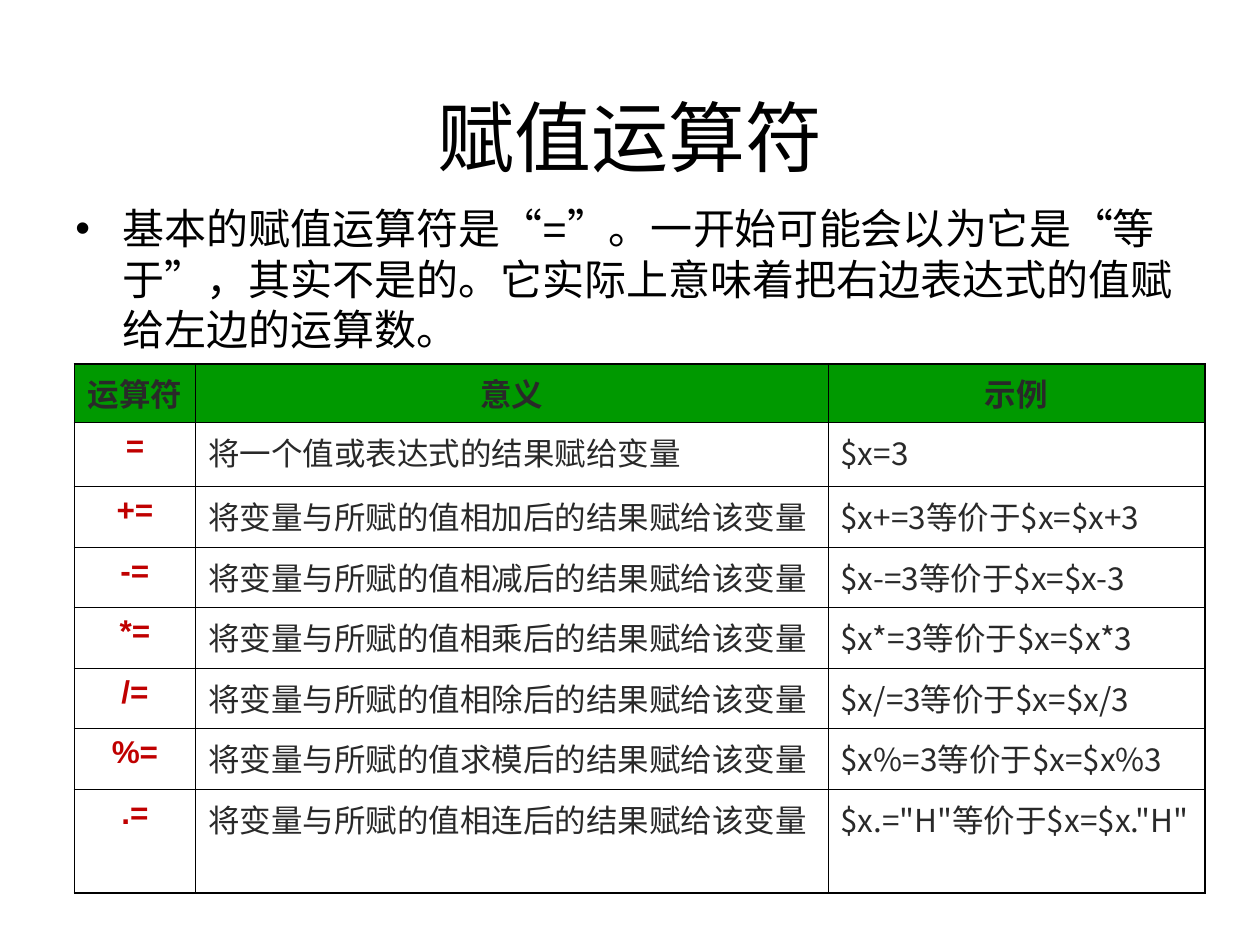
"""Build a slide that explains the assignment operators."""
import pptx
import pptx.dml.color
import pptx.enum.text
import pptx.oxml
import pptx.oxml.ns
import pptx.util

Cm = pptx.util.Cm
Pt = pptx.util.Pt
RGBColor = pptx.dml.color.RGBColor
ALIGN = pptx.enum.text.PP_ALIGN
ANCHOR = pptx.enum.text.MSO_ANCHOR

BLACK = RGBColor(0x00, 0x00, 0x00)
CHARCOAL = RGBColor(0x29, 0x29, 0x29)
GREEN = RGBColor(0x00, 0x99, 0x00)
RED = RGBColor(0xC0, 0x00, 0x00)
LATIN_FONT = "Arial"
CHINESE_FONT = "Noto Sans CJK SC"
THIN, THICK = 0.45, 1.08

TITLE = "赋值运算符"
EXPLANATION = (
    "基本的赋值运算符是“=”。一开始可能会以为它是“等于”，其实不是的。"
    "它实际上意味着把右边表达式的值赋给左边的运算数。"
)
HEADINGS = ("运算符", "意义", "示例")
COMPOUND_OPERATORS = (
    ("+", "相加", "3"),
    ("-", "相减", "3"),
    ("*", "相乘", "3"),
    ("/", "相除", "3"),
    ("%", "求模", "3"),
    (".", "相连", '"H"'),
)
COLUMN_WIDTHS = (2.44, 12.75, 7.6)
ROW_HEIGHTS = (1.17, 1.3, *[1.22] * 5, 2.09)


def xml_element(markup):
    return pptx.oxml.parse_xml(markup.replace(" ", f" {pptx.oxml.ns.nsdecls('a')} ", 1))


def write_text(text_frame, text, *, size, color=BLACK, font=LATIN_FONT, bold=False,
               align=ALIGN.LEFT, bullet_indent=None):
    paragraph = text_frame.paragraphs[0]
    paragraph.alignment = align
    if bullet_indent:
        properties = paragraph._p.get_or_add_pPr()
        properties.set("marL", str(bullet_indent))
        properties.set("indent", str(-bullet_indent))
        properties.append(xml_element(f'<a:buFont typeface="{LATIN_FONT}"/>'))
        properties.append(xml_element('<a:buChar char="•"/>'))
    run = paragraph.add_run()
    run.text = text
    run.font.size = Pt(size)
    run.font.bold = bold
    run.font.name = font
    run.font.color.rgb = color
    run._r.get_or_add_rPr().append(xml_element(f'<a:ea typeface="{CHINESE_FONT}"/>'))


class SlideBuilder:
    def __init__(self, slide):
        self.slide = slide
        self.table_size = 18

    def text_box(self, text, left, top, width, height, *, anchor=ANCHOR.TOP, **text_format):
        shape = self.slide.shapes.add_textbox(Cm(left), Cm(top), Cm(width), Cm(height))
        text_frame = shape.text_frame
        text_frame.word_wrap = True
        text_frame.vertical_anchor = anchor
        write_text(text_frame, text, **text_format)

    def table(self, rows, left, top):
        shape = self.slide.shapes.add_table(
            len(rows), len(COLUMN_WIDTHS), Cm(left), Cm(top),
            Cm(sum(COLUMN_WIDTHS)), Cm(sum(ROW_HEIGHTS)))
        table = shape.table
        table.first_row = table.horz_banding = False
        for column, width in zip(table.columns, COLUMN_WIDTHS):
            column.width = Cm(width)
        for row, height in zip(table.rows, ROW_HEIGHTS):
            row.height = Cm(height)
        last_row, last_column = len(rows) - 1, len(COLUMN_WIDTHS) - 1
        for row_index, row in enumerate(rows):
            for column_index, text in enumerate(row):
                cell = table.cell(row_index, column_index)
                self.cell(cell, text, row_index == 0, column_index == 0)
                self.borders(cell, L=column_index == 0, R=column_index == last_column,
                             T=row_index == 0, B=row_index == last_row)

    def cell(self, cell, text, is_heading, is_operator):
        if is_heading:
            cell.fill.solid()
            cell.fill.fore_color.rgb = GREEN
        else:
            cell.fill.background()
        red = is_operator and not is_heading
        strong = is_heading or is_operator
        write_text(cell.text_frame, text, size=self.table_size, bold=strong,
                   color=RED if red else CHARCOAL,
                   font=LATIN_FONT if red else CHINESE_FONT,
                   align=ALIGN.CENTER if strong else ALIGN.LEFT)

    def borders(self, cell, **outer_sides):
        properties = cell._tc.get_or_add_tcPr()
        for position, (side, is_outer) in enumerate(outer_sides.items()):
            width = Pt(THICK if is_outer else THIN)
            properties.insert(position, xml_element(
                f'<a:ln{side} w="{width}"><a:solidFill>'
                f'<a:srgbClr val="{BLACK}"/></a:solidFill></a:ln{side}>'))


def operator_rows():
    rows = [HEADINGS, ("=", "将一个值或表达式的结果赋给变量", "$x=3")]
    for sign, action, value in COMPOUND_OPERATORS:
        rows.append((f"{sign}=", f"将变量与所赋的值{action}后的结果赋给该变量",
                     f"$x{sign}={value}等价于$x=$x{sign}{value}"))
    return rows


def main():
    presentation = pptx.Presentation()
    presentation.slide_width, presentation.slide_height = Cm(25.4), Cm(19.05)
    slide = presentation.slides.add_slide(presentation.slide_layouts[6])
    builder = SlideBuilder(slide)
    builder.text_box(TITLE, 1.27, 1.14, 22.86, 3.18, size=44,
                     anchor=ANCHOR.MIDDLE, align=ALIGN.CENTER)
    builder.text_box(EXPLANATION, 1.27, 3.96, 23.04, 3.38, size=24,
                     bullet_indent=Cm(0.95))
    builder.table(operator_rows(), 1.5, 7.34)
    presentation.save("out.pptx")


if __name__ == "__main__":
    main()
